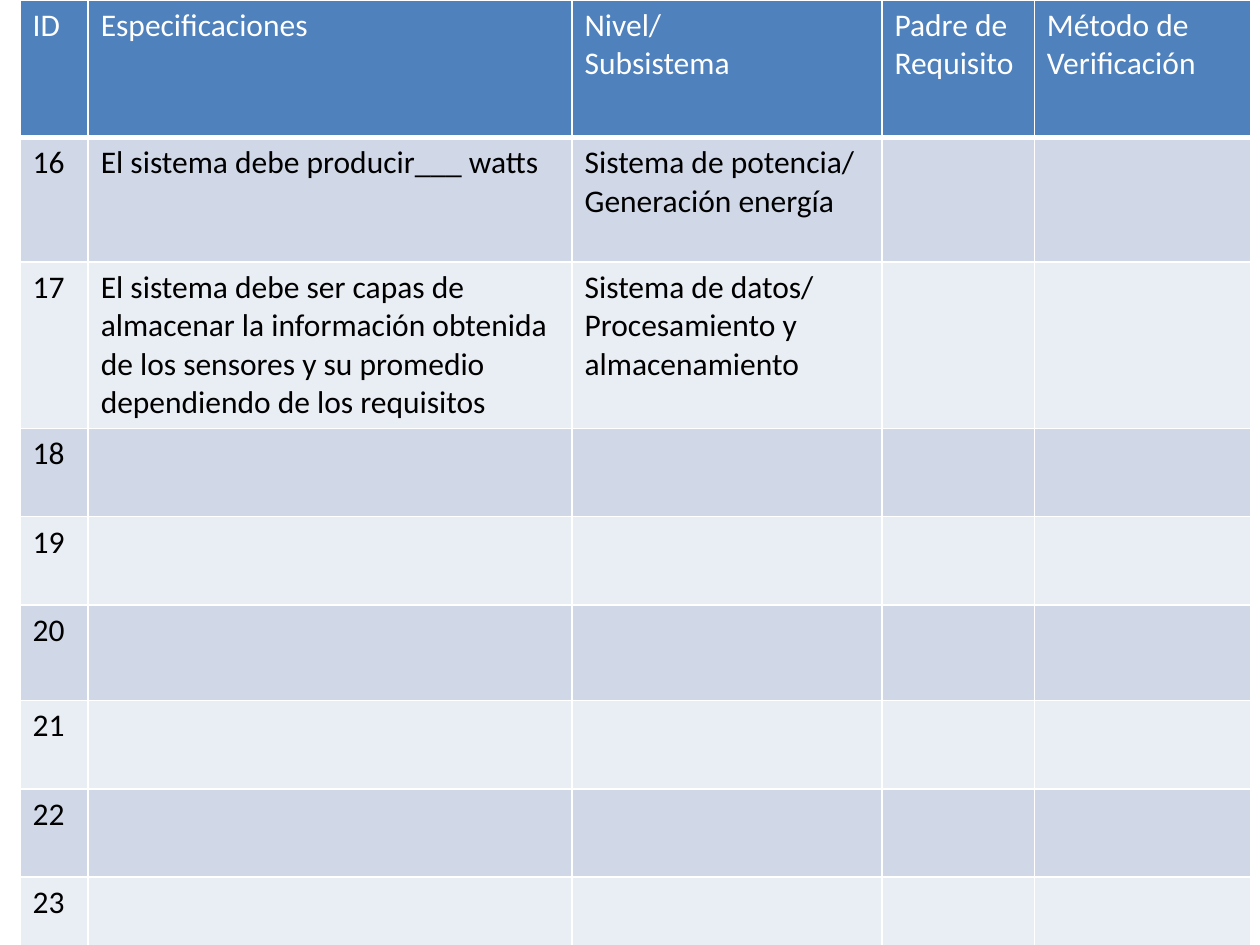
from dataclasses import dataclass

from lxml import etree
from pptx import Presentation
from pptx.dml.color import RGBColor
from pptx.oxml import ns
from pptx.util import Pt

COLORS = {
    "header": "4F81BD",
    "band_dark": "D0D8E8",
    "band_light": "E9EDF4",
    "header_text": "FFFFFF",
    "body_text": "000000",
    "border": "FFFFFF",
}
COLUMN_WIDTHS = (38.9, 276.5, 177.1, 87.1, 123.8)
HEADER_BORDERS = {"lnL": 1, "lnR": 1, "lnT": 1, "lnB": 3}


@dataclass
class Requirement:
    id: str
    height: float
    specification: str = ""
    subsystem: str = ""
    parent: str = ""
    verification: str = ""

    def texts(self) -> tuple:
        return (self.id, self.specification, self.subsystem,
                self.parent, self.verification)


HEADINGS = Requirement("ID", 78.5, "Especificaciones", "Nivel/\nSubsistema",
                       "Padre de Requisito", "Método de Verificación")
REQUIREMENTS = (
    Requirement("16", 71.3, "El sistema debe producir___ watts",
                "Sistema de potencia/ Generación energía"),
    Requirement("17", 51,
                "El sistema debe ser capas de almacenar la información obtenida "
                "de los sensores y su promedio dependiendo de los requisitos",
                "Sistema de datos/ Procesamiento y almacenamiento"),
    Requirement("18", 50.4),
    Requirement("19", 50.4),
    Requirement("20", 54.7),
    Requirement("21", 50.4),
    Requirement("22", 50.4),
    Requirement("23", 54.7),
)


def add_borders(cell, widths: dict) -> None:
    properties = cell._tc.get_or_add_tcPr()
    for side, width in widths.items():
        line = etree.SubElement(properties, ns.qn(f"a:{side}"), w=str(Pt(width)))
        fill = etree.SubElement(line, ns.qn("a:solidFill"))
        etree.SubElement(fill, ns.qn("a:srgbClr"), val=COLORS["border"])


def fill_row(table, index: int, row: Requirement, fill: str, ink: str) -> None:
    table.rows[index].height = Pt(row.height)
    for column, content in enumerate(row.texts()):
        cell = table.cell(index, column)
        if index == 0:
            add_borders(cell, HEADER_BORDERS)
        cell.fill.solid()
        cell.fill.fore_color.rgb = RGBColor.from_string(COLORS[fill])
        cell.text = content
        for paragraph in cell.text_frame.paragraphs:
            font = paragraph.font
            font.name, font.size, font.bold = "Calibri", Pt(18), False
            font.color.rgb = RGBColor.from_string(COLORS[ink])


def main() -> None:
    deck = Presentation()
    deck.slide_width, deck.slide_height = Pt(720), Pt(540)
    slide = deck.slides.add_slide(deck.slide_layouts.get_by_name("Blank"))
    height = HEADINGS.height + sum(row.height for row in REQUIREMENTS)
    requirements = slide.shapes.add_table(
        len(REQUIREMENTS) + 1, len(COLUMN_WIDTHS),
        Pt(11.5), Pt(0), Pt(sum(COLUMN_WIDTHS)), Pt(height)).table
    for column, width in zip(requirements.columns, COLUMN_WIDTHS):
        column.width = Pt(width)

    fill_row(requirements, 0, HEADINGS, "header", "header_text")
    for index, row in enumerate(REQUIREMENTS, start=1):
        band = "band_dark" if index % 2 else "band_light"
        fill_row(requirements, index, row, band, "body_text")
    deck.save("out.pptx")


if __name__ == "__main__":
    main()
